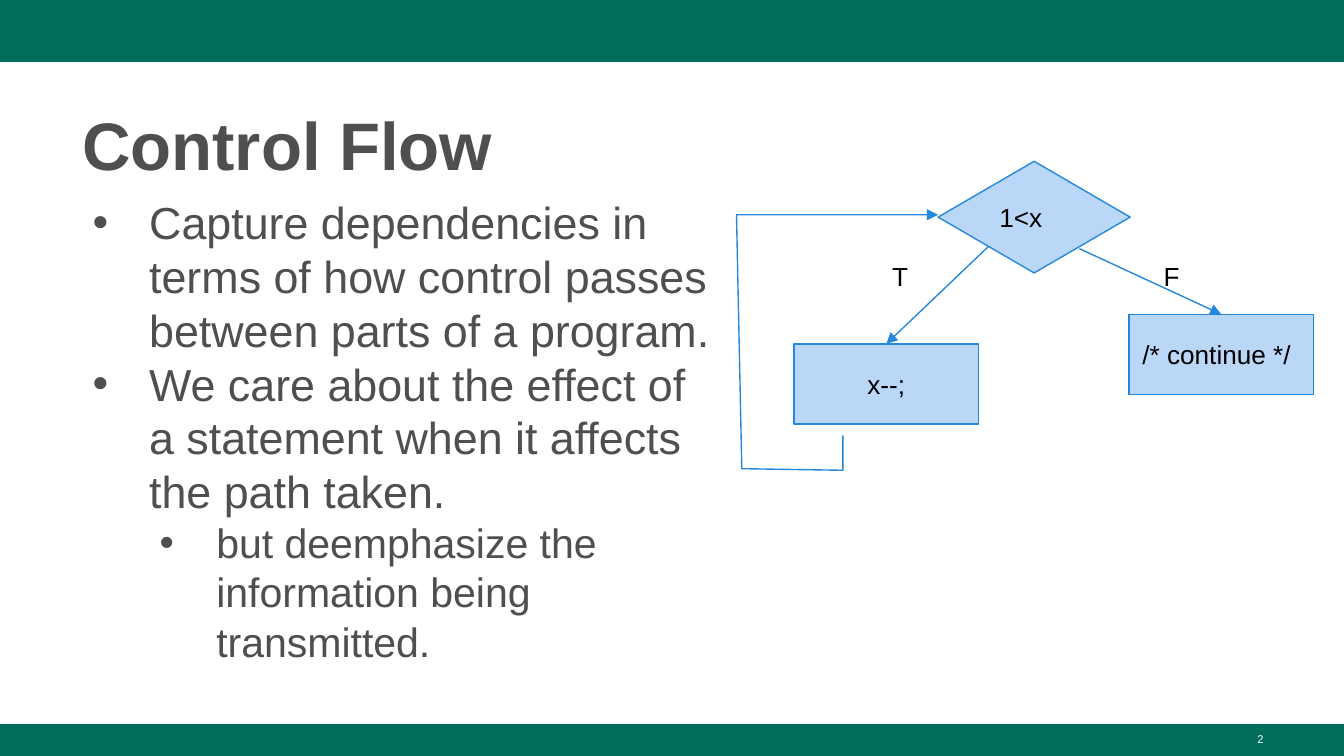
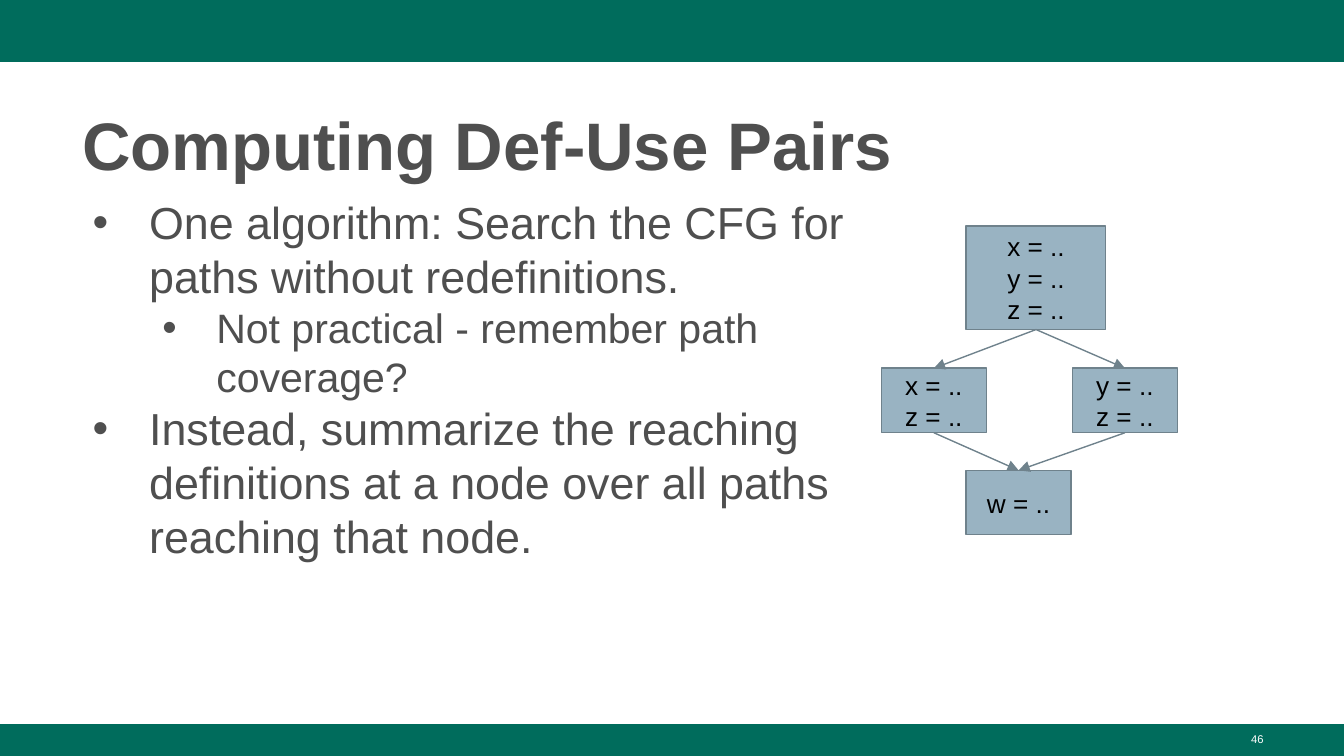
"""Builds two lecture slides on control flow and def-use pairs."""
from dataclasses import dataclass
from typing import Optional

from lxml.etree import SubElement
from pptx import Presentation
from pptx.dml.color import RGBColor
from pptx.enum.shapes import MSO_CONNECTOR as Connector, MSO_SHAPE as Preset
from pptx.enum.text import MSO_ANCHOR as Anchor, MSO_AUTO_SIZE as AutoSize, PP_ALIGN as Align
from pptx.oxml.ns import qn
from pptx.util import Cm, Pt

FONT = "Arial"
GREEN, GREY, BLACK, WHITE = "006C5C", "4F4F4F", "000000", "FFFFFF"
WIDTH, HEIGHT = 25.4, 14.29
MARGIN = 1.3
TOP, BOTTOM = 0, 2


@dataclass(frozen=True)
class Palette:
    fill: str
    line: str


@dataclass(frozen=True)
class Bullet:
    text: str
    level: int = 0
    hanging: float = 1.07


@dataclass(frozen=True)
class Node:
    text: str
    left: float
    top: float
    width: float
    height: float
    preset: Preset = Preset.RECTANGLE
    align: Align = Align.CENTER


BLUE = Palette("BBD7F8", "2388DB")
SLATE = Palette("99B3C2", "6F828C")


def rgb(color: str) -> RGBColor:
    return RGBColor.from_string(color)


def write_text(shape, text: str, *, size: float, color: str = BLACK, bold: bool = False,
               align: Align = Align.LEFT, anchor: Anchor = Anchor.TOP,
               inset: float = 0.25, spacing: Optional[float] = None) -> None:
    frame = shape.text_frame
    frame.text = text
    frame.word_wrap = True
    frame.auto_size = AutoSize.NONE
    frame.vertical_anchor = anchor
    frame.margin_left = frame.margin_right = Cm(0.25)
    frame.margin_top = frame.margin_bottom = Cm(inset)
    for paragraph in frame.paragraphs:
        paragraph.alignment = align
        if spacing:
            paragraph.line_spacing = spacing
        for run in paragraph.runs:
            run.font.name = FONT
            run.font.size = Pt(size)
            run.font.bold = bold
            run.font.color.rgb = rgb(color)


def add_label(slide, text: str, left: float, top: float, width: float, height: float, **text_format):
    shape = slide.shapes.add_textbox(Cm(left), Cm(top), Cm(width), Cm(height))
    write_text(shape, text, **text_format)
    return shape


def add_band(slide, top: float, height: float) -> None:
    band = slide.shapes.add_shape(Preset.RECTANGLE, 0, Cm(top), Cm(WIDTH), Cm(height))
    band.shadow.inherit = False
    band.fill.solid()
    band.fill.fore_color.rgb = rgb(GREEN)
    band.line.fill.background()


def add_bullets(slide, bullets: list[Bullet], width: float) -> None:
    body = add_label(slide, "\n".join(bullet.text for bullet in bullets),
                     MARGIN, 3.56, width, 9.68, size=24, color=GREY, inset=0.13)
    for paragraph, bullet in zip(body.text_frame.paragraphs, bullets):
        paragraph.level = bullet.level
        paragraph.runs[0].font.size = Pt(24 - 2 * bullet.level)
        properties = paragraph._p.get_or_add_pPr()
        properties.set("marL", str(Cm(1.27 * (bullet.level + 1))))
        properties.set("indent", str(-Cm(bullet.hanging)))
        SubElement(SubElement(properties, qn("a:buClr")), qn("a:srgbClr"), val=GREY)
        SubElement(properties, qn("a:buFont"), typeface=FONT)
        SubElement(properties, qn("a:buChar"), char="•")


def add_node(slide, node: Node, palette: Palette):
    shape = slide.shapes.add_shape(node.preset, Cm(node.left), Cm(node.top),
                                   Cm(node.width), Cm(node.height))
    shape.shadow.inherit = False
    shape.fill.solid()
    shape.fill.fore_color.rgb = rgb(palette.fill)
    shape.line.color.rgb = rgb(palette.line)
    shape.line.width = Pt(0.75)
    write_text(shape, node.text, size=14, align=node.align, anchor=Anchor.MIDDLE)
    return shape


def style_arrow(shape, color: str) -> None:
    shape.line.color.rgb = rgb(color)
    shape.line.width = Pt(0.75)
    properties = shape.element.spPr
    SubElement(properties.get_or_add_ln(), qn("a:tailEnd"), type="triangle")
    if properties.find(qn("a:effectLst")) is None:
        SubElement(properties, qn("a:effectLst"))


def add_arrow(slide, target, color: str, *, source=None, start: tuple[float, float] = (0, 0)) -> None:
    arrow = slide.shapes.add_connector(Connector.STRAIGHT, Cm(start[0]), Cm(start[1]), 0, 0)
    if source is not None:
        arrow.begin_connect(source, BOTTOM)
    arrow.end_connect(target, TOP)
    style_arrow(arrow, color)


def add_loop(slide, points: list[tuple[float, float]], color: str) -> None:
    first, *rest = [(Cm(x), Cm(y)) for x, y in points]
    builder = slide.shapes.build_freeform(*first)
    builder.add_line_segments(rest, close=False)
    loop = builder.convert_to_shape()
    loop.shadow.inherit = False
    loop.fill.background()
    style_arrow(loop, color)


def add_slide(presentation, title: str, number: int, bullets: list[Bullet], body_width: float):
    slide = presentation.slides.add_slide(presentation.slide_layouts[5])
    add_band(slide, 0, 1.17)
    add_band(slide, 13.69, 0.6)
    heading = slide.shapes.title
    heading.left, heading.top, heading.width, heading.height = Cm(MARGIN), Cm(1.7), Cm(22.83), Cm(1.85)
    write_text(heading, title, size=36, color=GREY, bold=True, inset=0.13, spacing=1.08)
    add_bullets(slide, bullets, body_width)
    add_label(slide, str(number), 18.21, 13.72, 5.92, 0.58,
              size=6, color=WHITE, align=Align.RIGHT, inset=0.13)
    return slide


def build_control_flow(presentation) -> None:
    slide = add_slide(presentation, "Control Flow", 2, [
        Bullet("Capture dependencies in terms of how control passes between parts of a program."),
        Bullet("We care about the effect of a statement when it affects the path taken."),
        Bullet("but deemphasize the information being transmitted.", level=1),
    ], 12.37)
    decrement = add_node(slide, Node("x--;", 15.01, 6.5, 3.48, 1.52), BLUE)
    proceed = add_node(slide, Node("/* continue */", 21.34, 5.94, 3.48, 1.52, align=Align.LEFT), BLUE)
    add_node(slide, Node("1<x", 17.73, 3.05, 3.63, 2.11, Preset.DIAMOND, Align.LEFT), BLUE)
    add_arrow(slide, proceed, BLUE.line, start=(20.4, 4.7))
    add_arrow(slide, decrement, BLUE.line, start=(18.69, 4.65))
    for branch, left in (("T", 16.61), ("F", 21.74)):
        add_label(slide, branch, left, 4.67, 1.12, 0.56, size=14)
    add_loop(slide, [(15.93, 8.23), (15.93, 8.89), (14.02, 8.86), (13.92, 4.06), (17.73, 4.06)],
             BLUE.line)


def build_def_use_pairs(presentation) -> None:
    slide = add_slide(presentation, "Computing Def-Use Pairs", 46, [
        Bullet("One algorithm: Search the CFG for paths without redefinitions."),
        Bullet("Not practical - remember path coverage?", level=1, hanging=1.02),
        Bullet("Instead, summarize the reaching definitions at a node over all paths reaching that node."),
    ], 15.62)
    entry, left_branch, right_branch, merge = [add_node(slide, node, SLATE) for node in (
        Node("x = ..\ny = ..\nz = ..", 18.26, 4.27, 2.64, 1.96),
        Node("x = ..\nz = ..", 16.66, 6.96, 1.98, 1.22),
        Node("y = ..\nz = ..", 20.27, 6.96, 1.98, 1.22),
        Node("w = ..", 18.26, 8.89, 1.98, 1.22),
    )]
    for branch in (left_branch, right_branch):
        add_arrow(slide, branch, SLATE.line, source=entry)
        add_arrow(slide, merge, SLATE.line, source=branch)


def main() -> None:
    presentation = Presentation()
    presentation.slide_width, presentation.slide_height = Cm(WIDTH), Cm(HEIGHT)
    build_control_flow(presentation)
    build_def_use_pairs(presentation)
    presentation.save("out.pptx")


if __name__ == "__main__":
    main()
